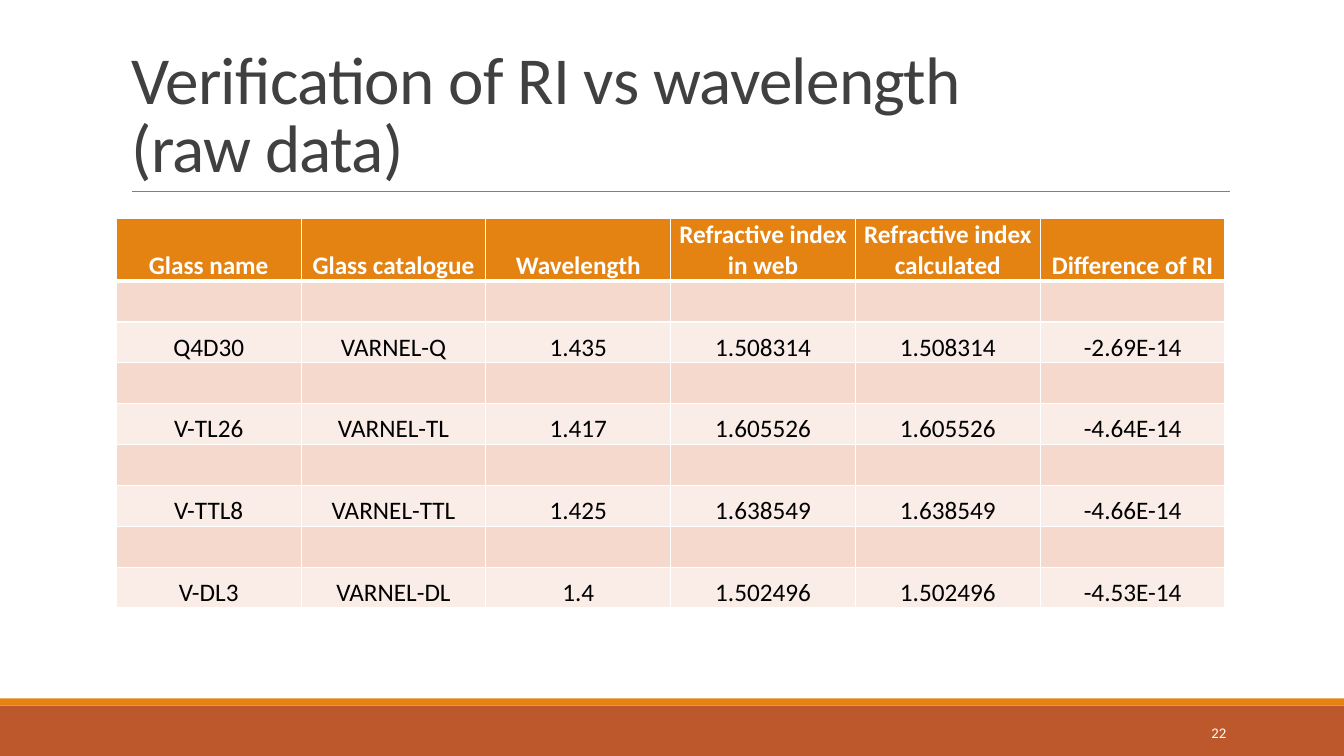
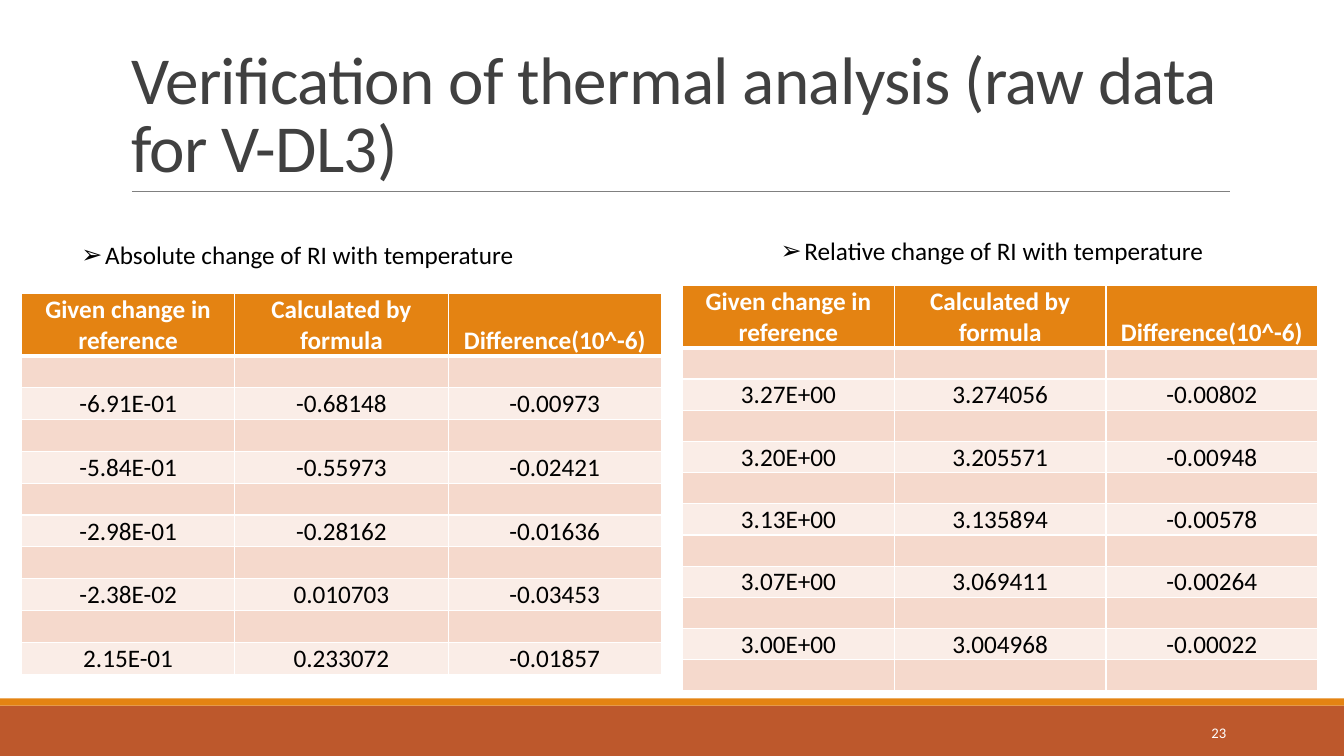
from lxml import etree
from pptx import Presentation
from pptx.dml.color import RGBColor
from pptx.enum.shapes import MSO_CONNECTOR, MSO_SHAPE
from pptx.enum.text import MSO_ANCHOR, PP_ALIGN
from pptx.oxml.ns import qn
from pptx.util import Pt

LEFT, MID, RIGHT = PP_ALIGN.LEFT, PP_ALIGN.CENTER, PP_ALIGN.RIGHT
TOP, CENTRE, BOTTOM = MSO_ANCHOR.TOP, MSO_ANCHOR.MIDDLE, MSO_ANCHOR.BOTTOM
RECT, STRAIGHT = MSO_SHAPE.RECTANGLE, MSO_CONNECTOR.STRAIGHT

FONT = "Calibri"
WIDE, HIGH = 960, 540
HEAD = 44.6  # height of a header row
INSET = 0.6
HEX = {
    "rust": "BD582C", "orange": "E48312", "rule": "808080", "title": "404040",
    "white": "FFFFFF", "black": "000000", "dark": "F5D9CC", "light": "FAEDE7",
}

THERMAL = ["Given change in reference", "Calculated by formula", "Difference(10^-6)"]

# Data rows alternate with empty rows; "end" adds one more empty row below.
SLIDES = [
    {
        "page": "22",
        "title": ["Verification of RI vs wavelength", "(raw data)"],
        "tables": [{
            "at": (83.1, 156.2), "wide": 792, "row": 29.2, "end": False,
            "head": ["Glass name", "Glass catalogue", "Wavelength",
                     "Refractive index in web", "Refractive index calculated",
                     "Difference of RI"],
            "rows": [
                ["Q4D30", "VARNEL-Q", "1.435", "1.508314", "1.508314", "-2.69E-14"],
                ["V-TL26", "VARNEL-TL", "1.417", "1.605526", "1.605526", "-4.64E-14"],
                ["V-TTL8", "VARNEL-TTL", "1.425", "1.638549", "1.638549", "-4.66E-14"],
                ["V-DL3", "VARNEL-DL", "1.4", "1.502496", "1.502496", "-4.53E-14"],
            ],
        }],
        "labels": [],
    },
    {
        "page": "23",
        "title": ["Verification of thermal analysis (raw data for V-DL3)"],
        "tables": [
            {
                "at": (15.3, 209.6), "wide": 457.2, "row": 22.75, "end": False,
                "head": THERMAL,
                "rows": [
                    ["-6.91E-01", "-0.68148", "-0.00973"],
                    ["-5.84E-01", "-0.55973", "-0.02421"],
                    ["-2.98E-01", "-0.28162", "-0.01636"],
                    ["-2.38E-02", "0.010703", "-0.03453"],
                    ["2.15E-01", "0.233072", "-0.01857"],
                ],
            },
            {
                "at": (487.6, 203.8), "wide": 453.6, "row": 22.3, "end": True,
                "head": THERMAL,
                "rows": [
                    ["3.27E+00", "3.274056", "-0.00802"],
                    ["3.20E+00", "3.205571", "-0.00948"],
                    ["3.13E+00", "3.135894", "-0.00578"],
                    ["3.07E+00", "3.069411", "-0.00264"],
                    ["3.00E+00", "3.004968", "-0.00022"],
                ],
            },
        ],
        "labels": [
            ("Absolute change of RI with temperature", (32.4, 167.4, 362.2, 29.1)),
            ("Relative change of RI with temperature", (511.2, 164.5, 396.7, 29.1)),
        ],
    },
]


def tint(name):
    return RGBColor.from_string(HEX[name])


def put(para, text, size, color, bold=False):
    run = para.add_run()
    run.text = text
    font = run.font
    font.name, font.size, font.bold = FONT, Pt(size), bold
    font.color.rgb = tint(color)
    return run


def add_text(slide, box, anchor, align):
    """Add an empty text box and return its first paragraph."""
    frame = slide.shapes.add_textbox(*map(Pt, box)).text_frame
    frame.word_wrap = True
    frame.vertical_anchor = anchor
    para = frame.paragraphs[0]
    para.alignment = align
    return para


def add_frame(slide, title, page):
    """Draw the bands, title, rule and page number."""
    for top, high, color in [(504, 36, "rust"), (498.8, 5.2, "orange")]:
        band = slide.shapes.add_shape(RECT, 0, Pt(top), Pt(WIDE), Pt(high))
        band.shadow.inherit = False
        band.fill.solid()
        band.fill.fore_color.rgb = tint(color)
        band.line.fill.background()

    rule = slide.shapes.add_connector(
        STRAIGHT, Pt(94.2), Pt(136.8), Pt(878.6), Pt(136.8))
    rule.line.color.rgb = tint("rule")
    rule.line.width = Pt(0.5)
    etree.SubElement(rule._element.spPr, qn("a:effectLst"))

    para = add_text(slide, (86.8, 22.5, 792, 114.3), BOTTOM, LEFT)
    para.line_spacing = 0.85
    for i, line in enumerate(title):
        if i:
            para.add_line_break()
        run = put(para, line, 48, "title")
        run.font._element.set("spc", "-50")

    para = add_text(slide, (780, 508.6, 103, 28.8), CENTRE, RIGHT)
    put(para, page, 10.5, "white")


def add_label(slide, text, box):
    para = add_text(slide, box, TOP, MID)
    props = para._p.get_or_add_pPr()
    props.set("marL", str(Pt(15)))
    props.set("indent", str(Pt(-17)))
    etree.SubElement(props, qn("a:buFont"), typeface="Arial")
    etree.SubElement(props, qn("a:buChar"), char="➢")
    put(para, text, 18, "black")


def edge(cell, row):
    """Give a cell white borders, thick between header and body."""
    props = cell._tc.get_or_add_tcPr()
    thick = {("B", 0), ("T", 1)}
    for side in "LRTB":
        size = 3 if (side, row) in thick else 1
        line = etree.SubElement(props, qn("a:ln" + side), w=str(Pt(size)))
        fill = etree.SubElement(line, qn("a:solidFill"))
        etree.SubElement(fill, qn("a:srgbClr"), val=HEX["white"])


def add_grid(slide, data):
    blank = [""] * len(data["head"])
    rows = [data["head"]]
    for row in data["rows"]:
        rows += [blank, row]
    if data["end"]:
        rows.append(blank)

    left, top = data["at"]
    high = HEAD + data["row"] * (len(rows) - 1)
    grid = slide.shapes.add_table(
        len(rows), len(blank), Pt(left), Pt(top), Pt(data["wide"]), Pt(high)).table
    for col in grid.columns:
        col.width = Pt(data["wide"] / len(blank))

    for r, row in enumerate(rows):
        grid.rows[r].height = Pt(data["row"] if r else HEAD)
        back = ("light", "dark")[r % 2] if r else "orange"
        for c, text in enumerate(row):
            cell = grid.cell(r, c)
            cell.margin_left = cell.margin_right = cell.margin_top = Pt(INSET)
            cell.margin_bottom = 0
            cell.vertical_anchor = BOTTOM
            edge(cell, r)
            cell.fill.solid()
            cell.fill.fore_color.rgb = tint(back)
            if text:
                para = cell.text_frame.paragraphs[0]
                para.alignment = MID
                put(para, text, 18, "black" if r else "white", r == 0)


def main():
    deck = Presentation()
    deck.slide_width, deck.slide_height = Pt(WIDE), Pt(HIGH)
    for page in SLIDES:
        slide = deck.slides.add_slide(deck.slide_layouts[6])
        add_frame(slide, page["title"], page["page"])
        for data in page["tables"]:
            add_grid(slide, data)
        for text, box in page["labels"]:
            add_label(slide, text, box)
    deck.save("out.pptx")


if __name__ == "__main__":
    main()
